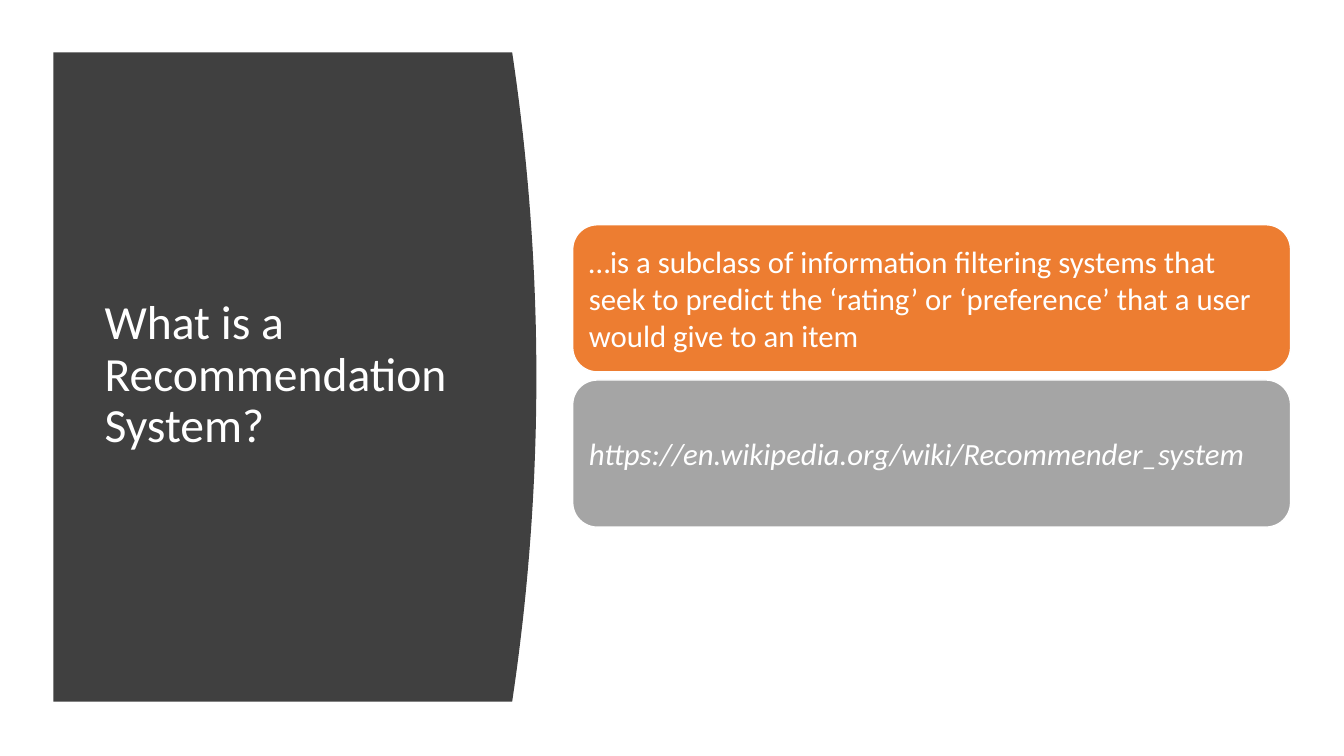
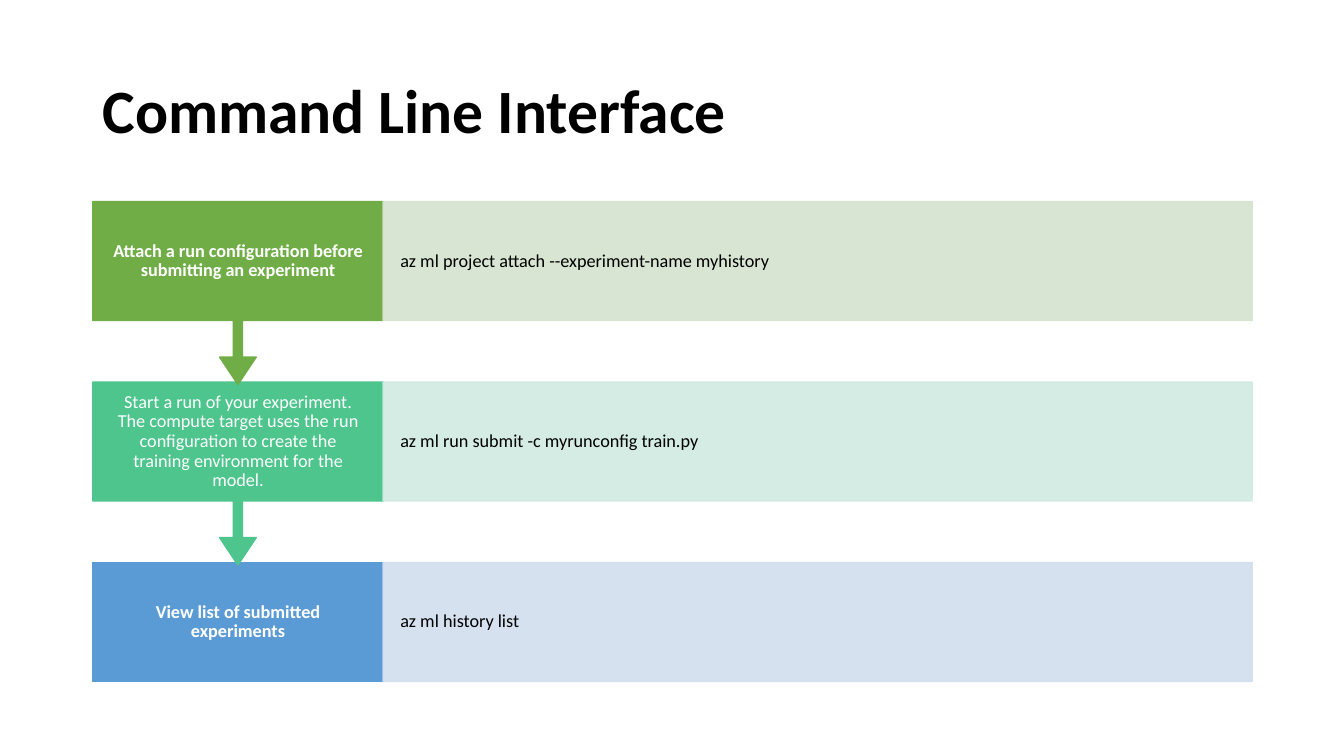
from dataclasses import dataclass

from lxml import etree
from pptx import Presentation
from pptx.dml.color import RGBColor as Color
from pptx.enum.shapes import MSO_SHAPE as Preset
from pptx.enum.text import MSO_ANCHOR as Anchor, PP_ALIGN as Align
from pptx.oxml.ns import qn
from pptx.util import Inches, Pt


@dataclass(frozen=True)
class Theme:
    font: str = "Calibri"
    white: str = "FFFFFF"
    black: str = "000000"
    panel: str = "404040"
    orange: str = "ED7D31"
    gray: str = "A5A5A5"
    green: str = "70AD47"
    teal: str = "4DC58D"
    blue: str = "5B9BD5"
    pale_green: str = "D5E3CF"
    pale_teal: str = "D0EAE1"
    pale_blue: str = "D2DEEF"
    heading_size: int = 44
    panel_title_size: int = 34
    card_size: int = 22
    step_size: int = 13
    tight: float = 0.9


class Deck:
    def __init__(self, theme):
        self.theme = theme
        self.presentation = Presentation()
        self.presentation.slide_width = Inches(13.33)
        self.presentation.slide_height = Inches(7.5)
        self.slide = None

    def new_slide(self):
        layout = self.presentation.slide_layouts[6]
        self.slide = self.presentation.slides.add_slide(layout)

    def add_text(self, shape, text, size, color, bold=False, italic=False,
                 align=Align.LEFT, spacing=1.0, insets=(0.1, 0.05)):
        frame = shape.text_frame
        frame.word_wrap = True
        frame.vertical_anchor = Anchor.MIDDLE
        frame.margin_left = frame.margin_right = Inches(insets[0])
        frame.margin_top = frame.margin_bottom = Inches(insets[1])
        paragraph = frame.paragraphs[0]
        paragraph.alignment = align
        paragraph.line_spacing = spacing
        run = paragraph.add_run()
        run.text = text
        run.font.name = self.theme.font
        run.font.size = Pt(size)
        run.font.bold = bold
        run.font.italic = italic
        run.font.color.rgb = Color.from_string(color)

    def title(self, box, text, size, color, bold=False):
        shape = self.slide.shapes.add_textbox(*map(Inches, box))
        self.add_text(shape, text, size, color, bold, spacing=self.theme.tight)

    def block(self, preset, box, fill, line, opacity=100):
        shape = self.slide.shapes.add_shape(preset, *map(Inches, box))
        shape.shadow.inherit = False
        shape.fill.solid()
        shape.fill.fore_color.rgb = Color.from_string(fill)
        shape.line.color.rgb = Color.from_string(line)
        shape.line.width = Pt(1)
        if opacity < 100:
            for color in shape.element.spPr.iter(qn("a:srgbClr")):
                alpha = etree.SubElement(color, qn("a:alpha"))
                alpha.set("val", str(opacity * 1000))
        return shape

    def curved_panel(self, left, top, right, bottom, bulge, steps=40):
        height = bottom - top
        curve = []
        for step in range(steps + 1):
            offset = 2 * step / steps - 1
            x = right + bulge * (1 - offset ** 2)
            curve.append((Inches(x), Inches(top + height * step / steps)))
        builder = self.slide.shapes.build_freeform(Inches(left), Inches(top))
        builder.add_line_segments(curve + [(Inches(left), Inches(bottom))], close=True)
        shape = builder.convert_to_shape()
        shape.shadow.inherit = False
        shape.fill.solid()
        shape.fill.fore_color.rgb = Color.from_string(self.theme.panel)
        shape.line.fill.background()

    def card(self, box, text, fill, italic=False):
        theme = self.theme
        shape = self.block(Preset.ROUNDED_RECTANGLE, box, fill, theme.white)
        self.add_text(shape, text, theme.card_size, theme.white, italic=italic,
                      insets=(0.09, 0.09))

    def step(self, box, text, fill, bold, has_arrow):
        theme = self.theme
        left, top, width, height = box
        if has_arrow:
            body_share = 0.65
            box = (left, top, width, height / body_share)
            shape = self.block(Preset.DOWN_ARROW_CALLOUT, box, fill, fill)
            for index, value in enumerate((0.05, 0.1, 0.15, body_share)):
                shape.adjustments[index] = value
        else:
            shape = self.block(Preset.RECTANGLE, box, fill, fill)
        self.add_text(shape, text, theme.step_size, theme.white, bold,
                      align=Align.CENTER, spacing=theme.tight, insets=(0.2, 0.1))

    def command(self, box, text, fill):
        theme = self.theme
        shape = self.block(Preset.RECTANGLE, box, fill, fill, opacity=90)
        self.add_text(shape, text, theme.step_size, theme.black,
                      spacing=theme.tight, insets=(0.17, 0.18))


def build_definition(deck):
    theme = deck.theme
    deck.new_slide()
    deck.curved_panel(0.53, 0.52, 5.08, 6.96, bulge=0.24)
    deck.title((0.94, 1.11, 3.74, 5.24), "What is a Recommendation System?",
               theme.panel_title_size, theme.white)
    cards = [
        ("…is a subclass of information filtering systems that seek to predict "
         "the ‘rating’ or ‘preference’ that a user would give to an item",
         theme.orange, False),
        ("https://en.wikipedia.org/wiki/Recommender_system", theme.gray, True),
    ]
    for index, (text, fill, italic) in enumerate(cards):
        deck.card((5.68, 2.23 + 1.54 * index, 7.12, 1.46), text, fill, italic)


def build_command_line(deck):
    theme = deck.theme
    deck.new_slide()
    deck.title((0.92, 0.4, 11.5, 1.45), "Command Line Interface",
               theme.heading_size, theme.black, bold=True)
    steps = [
        ("Attach a run configuration before submitting an experiment", True,
         "az ml project attach --experiment-name myhistory",
         theme.green, theme.pale_green),
        ("Start a run of your experiment. The compute target uses the run "
         "configuration to create the training environment for the model.", False,
         "az ml run submit -c myrunconfig train.py",
         theme.teal, theme.pale_teal),
        ("View list of submitted experiments", True,
         "az ml history list",
         theme.blue, theme.pale_blue),
    ]
    left, step_width, command_width, height = 0.92, 2.88, 8.62, 1.18
    last = len(steps) - 1
    for index, (text, bold, command, fill, pale) in reversed(list(enumerate(steps))):
        top = 2 + 1.79 * index
        deck.step((left, top, step_width, height), text, fill, bold,
                  has_arrow=index < last)
        deck.command((left + step_width, top, command_width, height), command, pale)


def main():
    deck = Deck(Theme())
    build_definition(deck)
    build_command_line(deck)
    deck.presentation.save("out.pptx")


if __name__ == "__main__":
    main()
